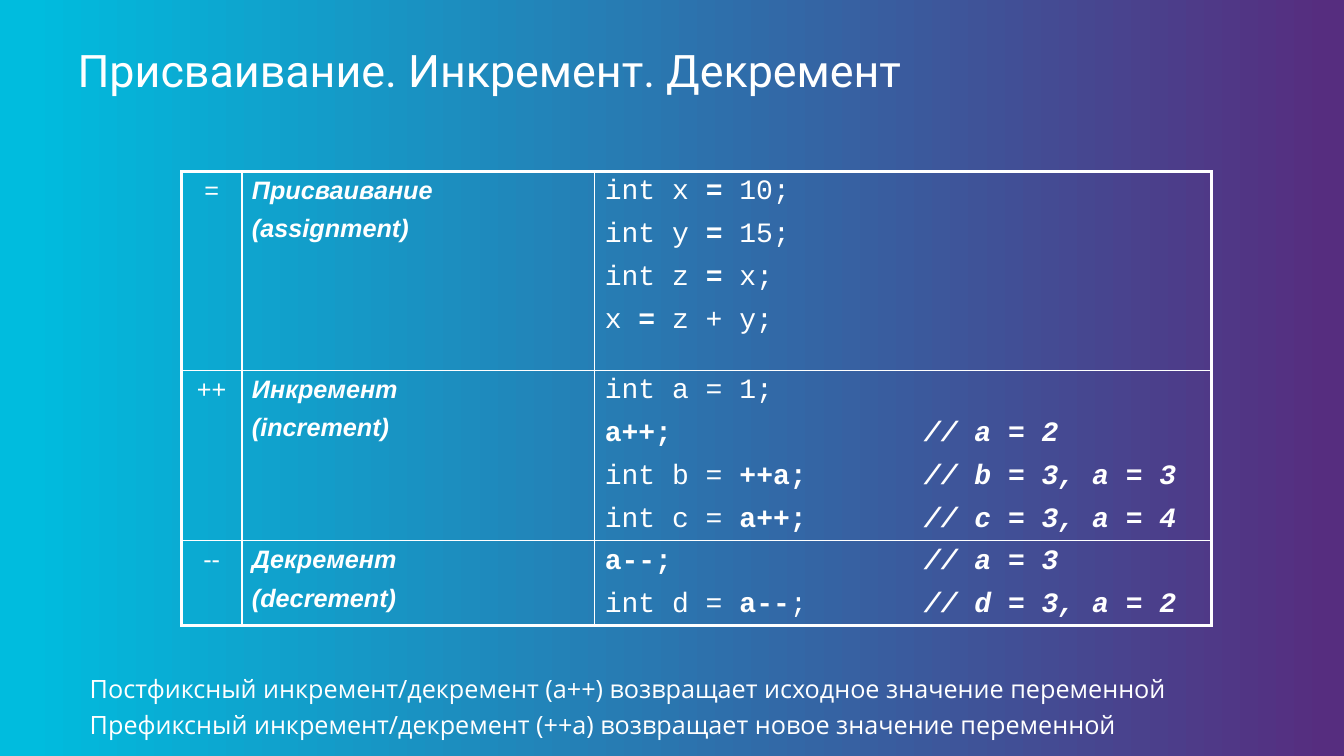
"""Build the slide on assignment, increment and decrement operators."""
from lxml import etree
from pptx import Presentation
from pptx.dml import color
from pptx.enum import text
from pptx.oxml import ns
from pptx.util import Pt

WHITE, CYAN, PURPLE = "FFFFFF", "00BCDE", "562D7F"
SLIDE_SIZE = (960, 540)
HEADING = "Присваивание. Инкремент. Декремент"
NOTES = [
    "Постфиксный инкремент/декремент (a++) возвращает исходное значение переменной",
    "Префиксный инкремент/декремент (++a) возвращает новое значение переменной",
]
OPERATORS = [
    ("=", ["Присваивание", "(assignment)"], [
        [("int x ", ""), ("=", "b"), (" 10;", "")],
        [("int y ", ""), ("=", "b"), (" 15;", "")],
        [("int z ", ""), ("= ", "b"), ("x;", "")],
        [("x ", ""), ("=", "b"), (" z + y;", "")],
    ]),
    ("++", ["Инкремент", "(increment)"], [
        [("int a = 1;", "")],
        [("a++;\t", "b"), ("// a = 2", "bi")],
        [("int b = ", ""), ("++a;\t", "b"), ("// b = 3, a = 3", "bi")],
        [("int c = ", ""), ("a++;\t", "b"), ("// c = 3, a = 4", "bi")],
    ]),
    ("--", ["Декремент", "(decrement)"], [
        [("a--;\t", "b"), ("// a = 3", "bi")],
        [("int d = ", ""), ("a--", "b"), (";\t", ""), ("// d = 3, a = 2", "bi")],
    ]),
]
TABLE_LEFT, TABLE_TOP = 129.6, 122.4
COLUMN_WIDTHS = (43.2, 252, 440.6)
ROW_HEIGHTS = (142, 121.5, 60.5)
OUTER_LINE, INNER_LINE = 2.25, 1
COMMENT_TAB = 228


def rgb(value):
    return color.RGBColor.from_string(value)


def add_child(parent, tag, **attributes):
    return etree.SubElement(parent, ns.qn(tag), attributes)


def write_lines(frame, lines, font_name, size, align=text.PP_ALIGN.LEFT):
    for index, line in enumerate(lines):
        paragraph = frame.add_paragraph() if index else frame.paragraphs[0]
        paragraph.alignment = align
        for words, style in line:
            run = paragraph.add_run()
            run.text = words
            run.font.name, run.font.size = font_name, Pt(size)
            run.font.bold, run.font.italic = "b" in style, "i" in style
            run.font.color.rgb = rgb(WHITE)
    return frame.paragraphs


def place(holder, left, top, width, height):
    holder.left, holder.top = Pt(left), Pt(top)
    holder.width, holder.height = Pt(width), Pt(height)
    frame = holder.text_frame
    frame.margin_left = 0
    frame.word_wrap = True
    frame.auto_size = text.MSO_AUTO_SIZE.NONE
    frame.vertical_anchor = text.MSO_ANCHOR.TOP
    return frame


def draw_borders(cell, row, column):
    edges = {
        "a:lnL": column == 0,
        "a:lnR": column == len(COLUMN_WIDTHS) - 1,
        "a:lnT": row == 0,
        "a:lnB": row == len(OPERATORS) - 1,
    }
    properties = cell._tc.get_or_add_tcPr()
    for tag, outer in edges.items():
        width = Pt(OUTER_LINE if outer else INNER_LINE)
        fill = add_child(add_child(properties, tag, w=str(width)), "a:solidFill")
        add_child(fill, "a:srgbClr", val=WHITE)
    cell.fill.background()


def fill_cell(cell, lines, font_name, size, align=text.PP_ALIGN.LEFT):
    for paragraph in write_lines(cell.text_frame, lines, font_name, size, align):
        paragraph.space_after = Pt(size * 0.4)
        if any("\t" in run.text for run in paragraph.runs):
            tabs = add_child(paragraph._p.get_or_add_pPr(), "a:tabLst")
            add_child(tabs, "a:tab", pos=str(Pt(COMMENT_TAB)), algn="l")


def add_operator_table(slide):
    table = slide.shapes.add_table(
        len(OPERATORS), len(COLUMN_WIDTHS), Pt(TABLE_LEFT), Pt(TABLE_TOP),
        Pt(sum(COLUMN_WIDTHS)), Pt(sum(ROW_HEIGHTS))).table
    table.first_row = table.horz_banding = False
    for column, width in zip(table.columns, COLUMN_WIDTHS):
        column.width = Pt(width)
    for row, height in zip(table.rows, ROW_HEIGHTS):
        row.height = Pt(height)
    for row, (symbol, names, code) in enumerate(OPERATORS):
        cells = table.rows[row].cells
        fill_cell(cells[0], [[(symbol, "")]], "Arial", 18, text.PP_ALIGN.CENTER)
        fill_cell(cells[1], [[(name, "bi")] for name in names], "Arial", 18)
        fill_cell(cells[2], code, "Courier New", 20)
        for column, cell in enumerate(cells):
            draw_borders(cell, row, column)


def main():
    deck = Presentation()
    deck.slide_width, deck.slide_height = map(Pt, SLIDE_SIZE)
    slide = deck.slides.add_slide(deck.slide_layouts[1])

    backdrop = slide.background.fill
    backdrop.gradient()
    backdrop.gradient_angle = 0
    for stop, shade, position in zip(
            backdrop.gradient_stops, (CYAN, PURPLE), (0.02, 0.99)):
        stop.color.rgb = rgb(shade)
        stop.position = position

    heading = place(slide.shapes.title, 55.4, 31, 852, 54)
    write_lines(heading, [[(HEADING, "")]], "Roboto", 32)[0].line_spacing = 0.9

    notes = place(slide.placeholders[1], 64.1, 481.7, 852, 58.3)
    for paragraph in write_lines(notes, [[(note, "")] for note in NOTES], "Open Sans", 18):
        paragraph.line_spacing = 0.8
        paragraph.space_before = Pt(8)
        properties = paragraph._p.get_or_add_pPr()
        properties.set("marL", "0")
        properties.set("indent", "0")
        add_child(properties, "a:buNone")

    add_operator_table(slide)
    deck.save("out.pptx")


if __name__ == "__main__":
    main()
